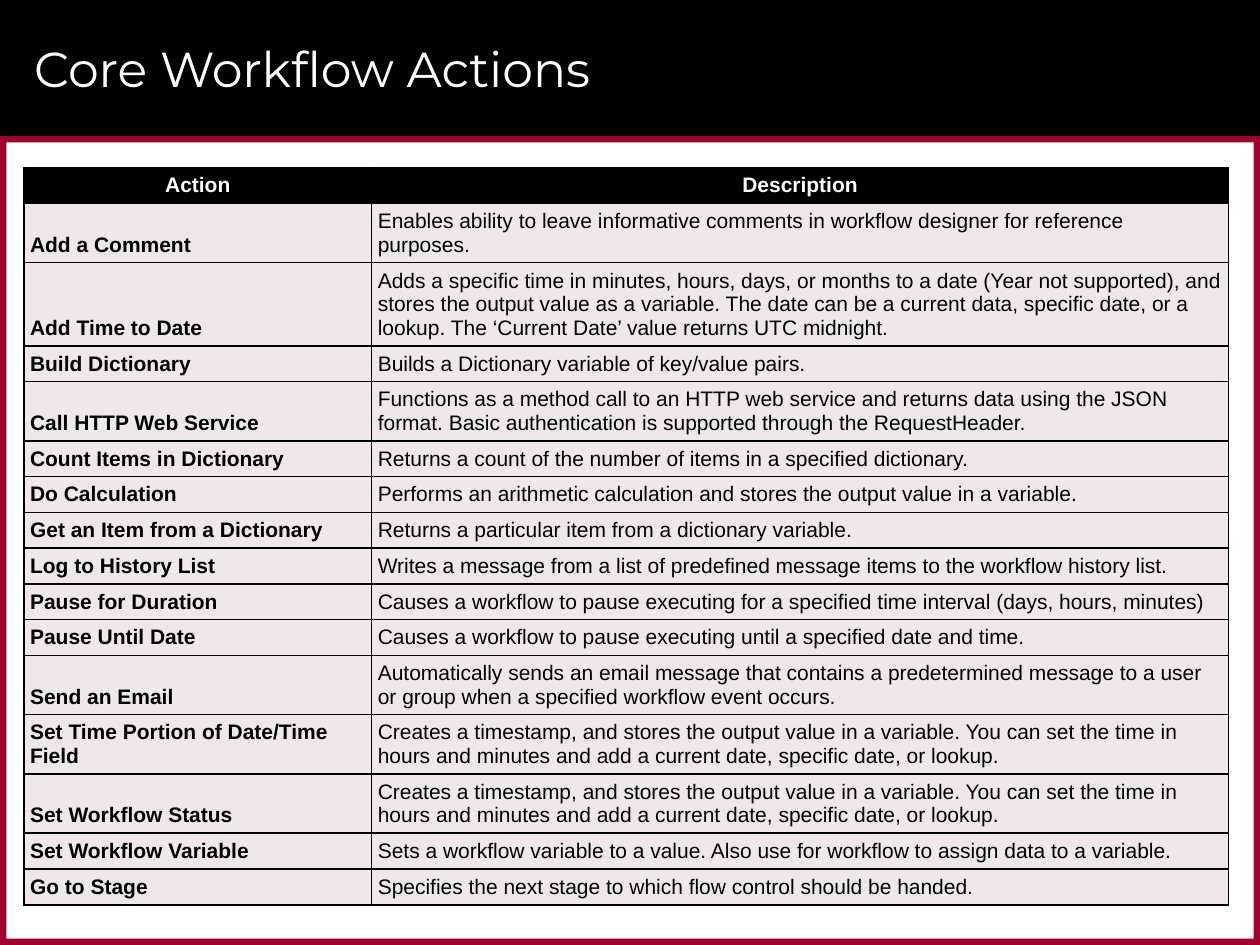
from lxml.etree import SubElement
from pptx import Presentation
from pptx.dml.color import RGBColor
from pptx.enum.shapes import MSO_SHAPE
from pptx.enum.text import MSO_ANCHOR, PP_ALIGN
from pptx.oxml.ns import qn
from pptx.util import Inches, Pt

BLACK = RGBColor(0x00, 0x00, 0x00)
WHITE = RGBColor(0xFF, 0xFF, 0xFF)
CRIMSON = RGBColor(0x9F, 0x00, 0x2D)
BLUSH = RGBColor(0xF0, 0xE7, 0xE8)

TITLE = "Core Workflow Actions"
HEADINGS = ("Action", "Description")
TIMESTAMP = (
    "Creates a timestamp, and stores the output value in a variable. You can set the time in "
    "hours and minutes and add a current date, specific date, or lookup."
)
ACTIONS = [
    ("Add a Comment", "Enables ability to leave informative comments in workflow designer "
     "for reference purposes.", 2),
    ("Add Time to Date", "Adds a specific time in minutes, hours, days, or months to a date "
     "(Year not supported), and stores the output value as a variable. The date can be a "
     "current data, specific date, or a lookup. The ‘Current Date’ value returns UTC midnight.", 3),
    ("Build Dictionary", "Builds a Dictionary variable of key/value pairs.", 1),
    ("Call HTTP Web Service", "Functions as a method call to an HTTP web service and returns "
     "data using the JSON format. Basic authentication is supported through the RequestHeader.", 2),
    ("Count Items in Dictionary",
     "Returns a count of the number of items in a specified dictionary.", 1),
    ("Do Calculation",
     "Performs an arithmetic calculation and stores the output value in a variable.", 1),
    ("Get an Item from a Dictionary", "Returns a particular item from a dictionary variable.", 1),
    ("Log to History List", "Writes a message from a list of predefined message items to the "
     "workflow history list.", 1),
    ("Pause for Duration", "Causes a workflow to pause executing for a specified time interval "
     "(days, hours, minutes)", 1),
    ("Pause Until Date",
     "Causes a workflow to pause executing until a specified date and time.", 1),
    ("Send an Email", "Automatically sends an email message that contains a predetermined "
     "message to a user or group when a specified workflow event occurs.", 2),
    ("Set Time Portion of Date/Time Field", TIMESTAMP, 2),
    ("Set Workflow Status", TIMESTAMP, 2),
    ("Set Workflow Variable", "Sets a workflow variable to a value. Also use for workflow to "
     "assign data to a variable.", 1),
    ("Go to Stage", "Specifies the next stage to which flow control should be handed.", 1),
]

WIDTH, HEIGHT = Inches(10), Inches(7.5)
BAND = Inches(1.08)
EDGE = Inches(0.05)
TABLE_LEFT, TABLE_TOP = Inches(0.19), Inches(1.33)
COLUMNS = (Inches(2.76), Inches(6.8))
LINE_HEIGHT, ROW_PADDING = Inches(0.19), Inches(0.09)
CELL_INSET = Pt(3.5)


def write(frame, text, font="Arial", size=12, color=BLACK, bold=False, align=PP_ALIGN.LEFT):
    para = frame.paragraphs[0]
    para.alignment = align
    span = para.add_run()
    span.text = text
    span.font.name = font
    span.font.size = Pt(size)
    span.font.bold = bold
    span.font.color.rgb = color


def add_bar(page, left, top, width, height, color):
    bar = page.shapes.add_shape(MSO_SHAPE.RECTANGLE, left, top, width, height)
    bar.shadow.inherit = False
    bar.fill.solid()
    bar.fill.fore_color.rgb = color
    bar.line.fill.background()


def add_frame(page):
    side = HEIGHT - BAND
    add_bar(page, 0, 0, WIDTH, BAND, BLACK)
    add_bar(page, 0, BAND, WIDTH, EDGE, CRIMSON)
    add_bar(page, 0, HEIGHT - EDGE, WIDTH, EDGE, CRIMSON)
    for left in (WIDTH - EDGE, 0):
        add_bar(page, left, BAND, EDGE, side, CRIMSON)


def add_title(page):
    title = page.shapes.title
    title.left, title.top = Inches(0.17), Inches(0.08)
    title.width, title.height = Inches(9.42), Inches(0.92)
    title.text_frame.vertical_anchor = MSO_ANCHOR.MIDDLE
    write(title.text_frame, TITLE, font="Montserrat", size=28, color=WHITE)
    page.shapes._spTree.append(title._element)


def format_cell(cell, color):
    cell.margin_left = cell.margin_right = CELL_INSET
    cell.margin_top = cell.margin_bottom = CELL_INSET
    cell.vertical_anchor = MSO_ANCHOR.BOTTOM
    properties = cell._tc.get_or_add_tcPr()
    for side in ("lnL", "lnR", "lnT", "lnB"):
        border = SubElement(properties, qn(f"a:{side}"), w=str(Pt(1)))
        fill = SubElement(border, qn("a:solidFill"))
        SubElement(fill, qn("a:srgbClr"), val=str(BLACK))
    cell.fill.solid()
    cell.fill.fore_color.rgb = color


def add_actions(page):
    rows = [(*HEADINGS, 1), *ACTIONS]
    heights = [ROW_PADDING + LINE_HEIGHT * lines for *_, lines in rows]
    table = page.shapes.add_table(
        len(rows), len(COLUMNS), TABLE_LEFT, TABLE_TOP, sum(COLUMNS), sum(heights)
    ).table
    for column, width in zip(table.columns, COLUMNS):
        column.width = width
    for index, (*texts, _) in enumerate(rows):
        table.rows[index].height = heights[index]
        header = index == 0
        for position, text in enumerate(texts):
            cell = table.cell(index, position)
            format_cell(cell, BLACK if header else BLUSH)
            write(
                cell.text_frame,
                text,
                color=WHITE if header else BLACK,
                bold=header or position == 0,
                align=PP_ALIGN.CENTER if header else PP_ALIGN.LEFT,
            )


def main():
    deck = Presentation()
    deck.slide_width, deck.slide_height = WIDTH, HEIGHT
    page = deck.slides.add_slide(deck.slide_layouts[5])
    add_frame(page)
    add_title(page)
    add_actions(page)
    deck.save("out.pptx")


if __name__ == "__main__":
    main()
